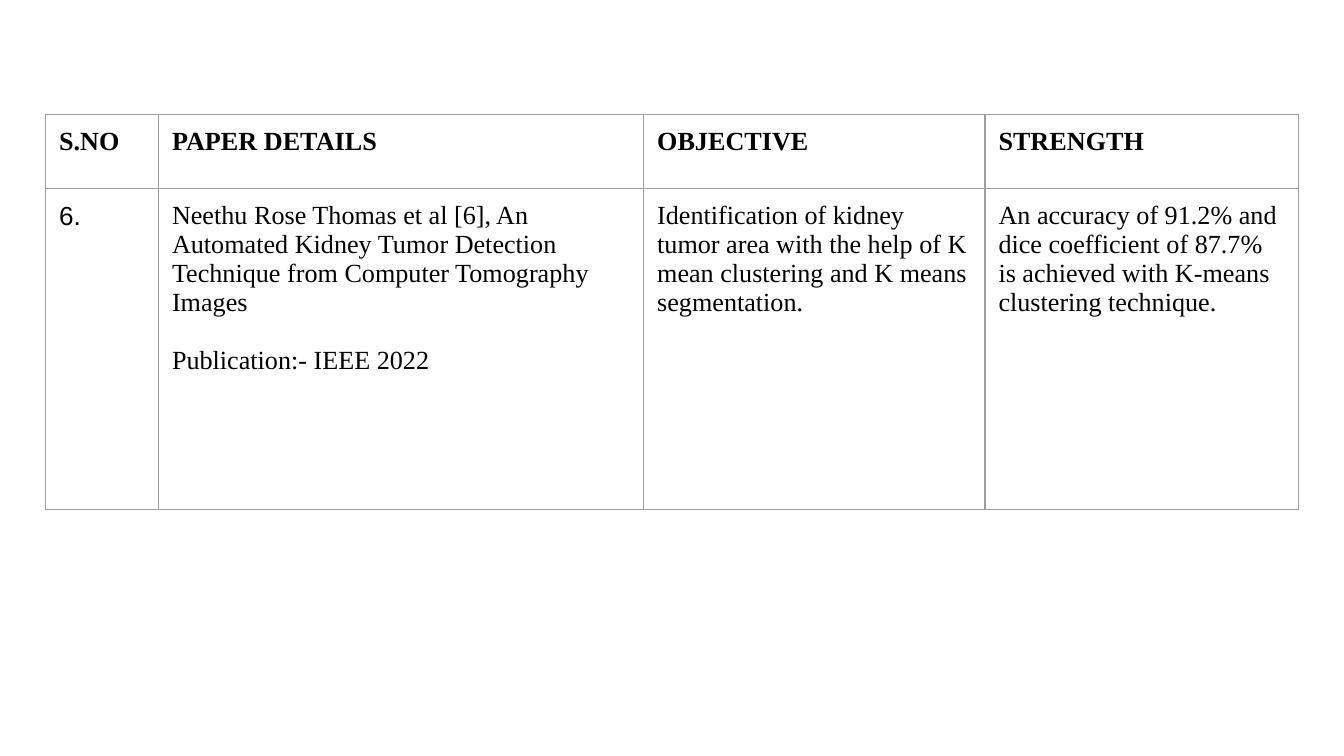
from lxml import etree
from pptx import Presentation
from pptx.dml.color import RGBColor
from pptx.enum.text import PP_ALIGN
from pptx.oxml.ns import qn
from pptx.util import Inches, Pt

JUSTIFY = PP_ALIGN.JUSTIFY
LEFT = PP_ALIGN.LEFT

SERIF = "Times New Roman"
SANS = "Arial"
BLACK = "000000"
WHITE = "FFFFFF"
GRAY = "9E9E9E"

HEADERS = ["S.NO", "PAPER DETAILS", "OBJECTIVE", "STRENGTH"]
PAPER = [
    ["6."],
    [
        "Neethu Rose Thomas et al [6], An Automated Kidney Tumor Detection "
        "Technique from Computer Tomography Images",
        "Publication:- IEEE 2022",
    ],
    ["Identification of kidney tumor area with the help of K mean clustering "
     "and K means segmentation."],
    ["An accuracy of 91.2% and dice coefficient of 87.7% is achieved with "
     "K-means clustering technique."],
]
SLIDE_WIDTH = 10
COLUMN_WIDTHS = [0.84, 3.61, 2.54, 2.33]
ROW_HEIGHTS = [0.55, 2.39]


def color(value):
    return RGBColor.from_string(value)


def add_borders(cell):
    properties = cell._tc.get_or_add_tcPr()
    for index, side in enumerate(("a:lnL", "a:lnR", "a:lnT", "a:lnB")):
        line = etree.Element(qn(side), w=str(Pt(0.75)))
        fill = etree.SubElement(line, qn("a:solidFill"))
        etree.SubElement(fill, qn("a:srgbClr"), val=GRAY)
        properties.insert(index, line)


def fill_cell(cell, paragraphs, font=SERIF, bold=False, alignment=LEFT):
    cell.fill.solid()
    cell.fill.fore_color.rgb = color(WHITE)
    cell.margin_left = cell.margin_right = Inches(0.1)
    cell.margin_top = cell.margin_bottom = Inches(0.1)
    add_borders(cell)
    frame = cell.text_frame
    for index, text in enumerate(paragraphs):
        para = frame.add_paragraph() if index else frame.paragraphs[0]
        para.alignment = alignment
        if index:
            para.space_before = Pt(15.5)
        span = para.add_run()
        span.text = text
        span.font.name = font
        span.font.size = Pt(14)
        span.font.bold = bold
        span.font.color.rgb = color(BLACK)


deck = Presentation()
deck.slide_width = Inches(SLIDE_WIDTH)
deck.slide_height = Inches(SLIDE_WIDTH * 9 / 16)
page = deck.slides.add_slide(deck.slide_layouts[6])

table = page.shapes.add_table(
    len(ROW_HEIGHTS), len(COLUMN_WIDTHS), Inches(0.34), Inches(0.85),
    Inches(sum(COLUMN_WIDTHS)), Inches(sum(ROW_HEIGHTS)),
).table
table.first_row = False
table.horz_banding = False

for column, width in zip(table.columns, COLUMN_WIDTHS):
    column.width = Inches(width)
for row, height in zip(table.rows, ROW_HEIGHTS):
    row.height = Inches(height)

for index, (header, details) in enumerate(zip(HEADERS, PAPER)):
    fill_cell(table.cell(0, index), [header], bold=True, alignment=JUSTIFY)
    fill_cell(table.cell(1, index), details, font=SERIF if index else SANS)

deck.save("out.pptx")
